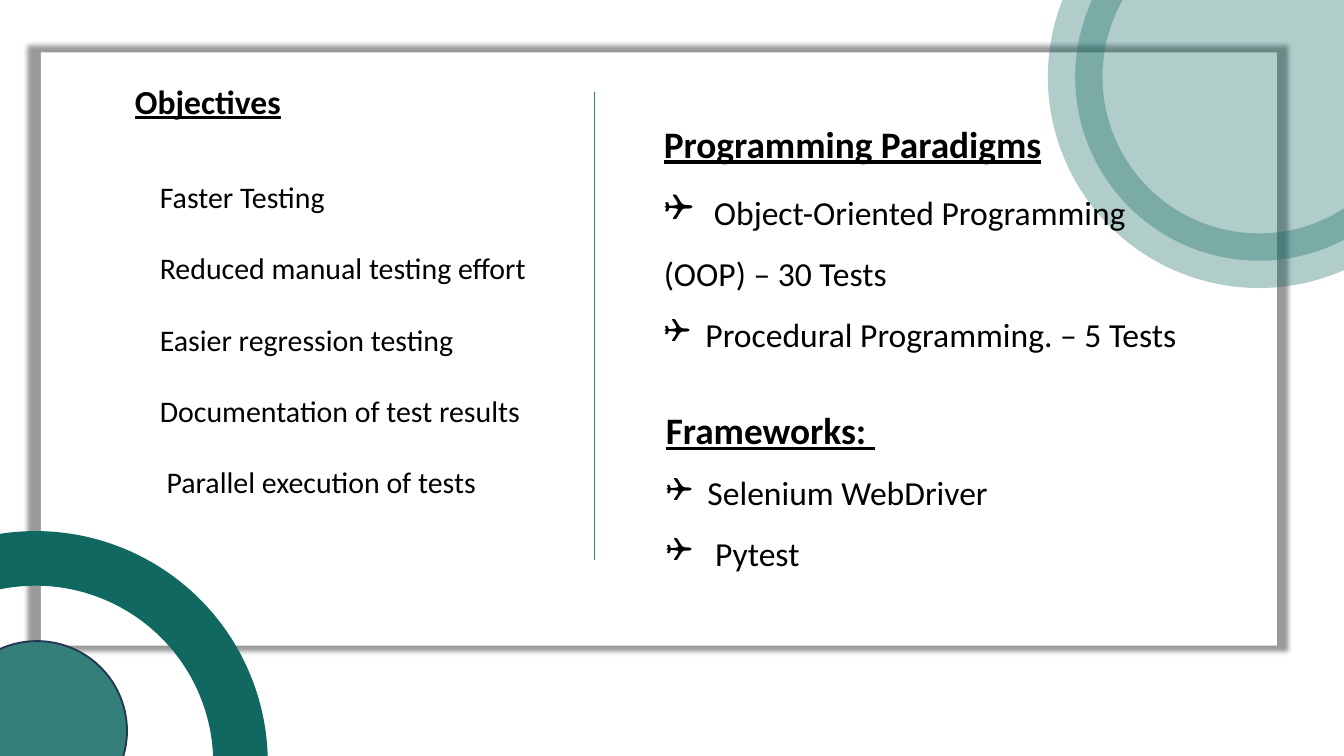
from lxml.etree import SubElement
from pptx import Presentation
from pptx.dml.color import RGBColor
from pptx.enum.shapes import MSO_CONNECTOR, MSO_SHAPE
from pptx.oxml.ns import qn
from pptx.util import Inches, Pt

WHITE = RGBColor(0xFF, 0xFF, 0xFF)
BLACK = RGBColor(0x00, 0x00, 0x00)
DARK_TEAL = RGBColor(0x10, 0x68, 0x61)
TEAL = RGBColor(0x34, 0x7F, 0x79)
NAVY = RGBColor(0x23, 0x39, 0x53)
FONT = "Calibri"
BULLET_INDENT = Inches(0.62)

OBJECTIVES = [
    "Faster Testing",
    "Reduced manual testing effort",
    "Easier regression testing",
    "Documentation of test results",
    " Parallel execution of tests",
]
PARADIGMS = [
    (True, [(" ", 40), ("Object-Oriented Programming", 36)]),
    (False, [("(OOP) – 30 Tests", 36)]),
    (True, [("Procedural Programming. – 5 Tests", 36)]),
]
FRAMEWORKS = [
    (True, [("Selenium WebDriver", 36)]),
    (True, [(" Pytest", 36)]),
]


def set_alpha(fill, percent):
    """Make a solid fill translucent."""
    color = fill._xPr.find(qn("a:solidFill"))[0]
    SubElement(color, qn("a:alpha")).set("val", str(percent * 1000))


def add_panel(slide, box):
    """Place the white panel with its soft, slightly larger shadow."""
    panel = slide.shapes.add_shape(MSO_SHAPE.RECTANGLE, *map(Inches, box))
    panel.fill.solid()
    panel.fill.fore_color.rgb = WHITE
    panel.line.fill.background()
    panel.shadow.inherit = False
    effects = panel._element.spPr.find(qn("a:effectLst"))
    shadow = SubElement(effects, qn("a:outerShdw"), blurRad=str(Pt(5)), dist="0", dir="0",
                        sx="102000", sy="102000", algn="ctr", rotWithShape="0")
    black = SubElement(shadow, qn("a:srgbClr"), val=str(BLACK))
    SubElement(black, qn("a:alpha"), val="40000")


def add_circle(slide, box, fill_color, line_color, line_width, opacity=None):
    """Place a decorative circle, hollow when it has no fill colour."""
    circle = slide.shapes.add_shape(MSO_SHAPE.OVAL, *map(Inches, box))
    circle.shadow.inherit = False
    circle.line.color.rgb = line_color
    circle.line.width = Pt(line_width)
    if fill_color is None:
        circle.fill.background()
    else:
        circle.fill.solid()
        circle.fill.fore_color.rgb = fill_color
    if opacity is not None:
        set_alpha(circle.fill, opacity)
        set_alpha(circle.line.fill, opacity)


def add_text_frame(slide, box):
    """Place a wrapping text box and return its frame."""
    frame = slide.shapes.add_textbox(*map(Inches, box)).text_frame
    frame.word_wrap = True
    return frame


def add_run(paragraph, text, size, heading=False):
    """Add a run, bold and underlined when it is a heading."""
    run = paragraph.add_run()
    run.text = text
    run.font.name = FONT
    run.font.size = Pt(size)
    run.font.color.rgb = BLACK
    run.font.bold = heading
    run.font.underline = heading


def add_checkbox(paragraph):
    """Give a paragraph a hanging checkbox bullet."""
    properties = paragraph._p.get_or_add_pPr()
    properties.set("marL", str(BULLET_INDENT))
    properties.set("indent", str(-BULLET_INDENT))
    SubElement(properties, qn("a:buFont"), typeface="Wingdings")
    SubElement(properties, qn("a:buChar"), char="❑")


def add_checklist(slide, box, heading, entries):
    """Place a heading with its checkbox entries."""
    frame = add_text_frame(slide, box)
    title = frame.paragraphs[0]
    title.line_spacing = 1.5
    add_run(title, heading, 40, heading=True)
    for has_checkbox, runs in entries:
        entry = frame.add_paragraph()
        entry.line_spacing = 1.5
        if has_checkbox:
            add_checkbox(entry)
        for text, size in runs:
            add_run(entry, text, size)


def add_objectives(slide, box):
    """Place the spaced list of objectives."""
    frame = add_text_frame(slide, box)
    for index, objective in enumerate(OBJECTIVES):
        paragraph = frame.add_paragraph() if index else frame.paragraphs[0]
        if index:
            paragraph.space_before = Pt(38)
        add_run(paragraph, objective, 32)


def add_objectives_heading(slide, box):
    """Place the heading above the objectives."""
    frame = add_text_frame(slide, box)
    add_run(frame.paragraphs[0], "Objectives", 36, heading=True)


def add_divider(slide, box):
    """Place the vertical line between the two columns."""
    left, top, width, height = box
    divider = slide.shapes.add_connector(
        MSO_CONNECTOR.STRAIGHT, Inches(left), Inches(top), Inches(left + width), Inches(top + height))
    divider.line.color.rgb = TEAL
    divider.line.width = Pt(0.75)
    SubElement(divider._element.spPr, qn("a:effectLst"))


def main():
    """Build the slide and save it."""
    presentation = Presentation()
    presentation.slide_width = Inches(20)
    presentation.slide_height = Inches(11.25)
    slide = presentation.slides.add_slide(presentation.slide_layouts[6])
    slide.background.fill.solid()
    slide.background.fill.fore_color.rgb = WHITE

    add_panel(slide, (0.61, 0.78, 18.39, 8.83))
    add_circle(slide, (-2.52, 8.31, 6.1, 6.1), None, DARK_TEAL, 58.5)
    add_circle(slide, (16, -1.59, 5.47, 5.47), DARK_TEAL, DARK_TEAL, 58.5, opacity=33)
    add_checklist(slide, (9.78, 1.42, 12.63, 5.48), "Programming Paradigms", PARADIGMS)
    add_checklist(slide, (9.81, 5.68, 12.17, 3.59), "Frameworks: ", FRAMEWORKS)
    add_circle(slide, (-0.79, 9.54, 2.68, 2.67), TEAL, NAVY, 2)
    add_objectives(slide, (2.28, 2.61, 6.1, 5.49))
    add_objectives_heading(slide, (1.91, 1.15, 4.67, 0.71))
    add_divider(slide, (8.84, 1.37, 0, 6.97))
    presentation.save("out.pptx")


if __name__ == "__main__":
    main()
